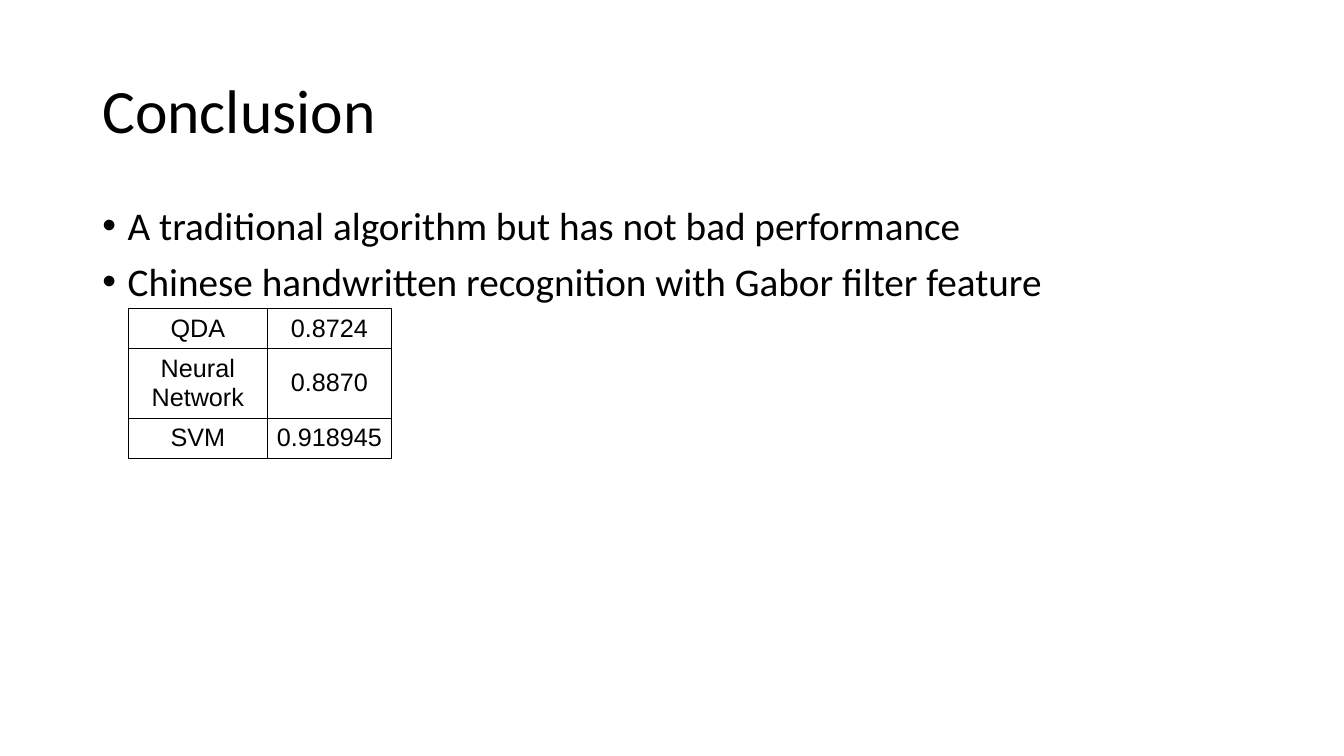
from dataclasses import dataclass

from lxml.etree import SubElement
from pptx import Presentation
from pptx.dml.color import RGBColor
from pptx.enum.text import MSO_ANCHOR, PP_ALIGN
from pptx.oxml import parse_xml
from pptx.oxml.ns import nsdecls, qn
from pptx.slide import Slide
from pptx.table import _Cell
from pptx.text.text import TextFrame, _Paragraph
from pptx.util import Cm, Pt

BLACK = RGBColor(0, 0, 0)
BORDER_WIDTH = Pt(0.6)
BULLET_INDENT = Cm(0.64)


@dataclass(frozen=True)
class Result:
    classifier: str
    accuracy: str
    height: float


RESULTS = [
    Result("QDA", "0.8724", 0.96),
    Result("Neural Network", "0.8870", 1.69),
    Result("SVM", "0.918945", 0.96),
]
FINDINGS = [
    "A traditional algorithm but has not bad performance",
    "Chinese handwritten recognition with Gabor filter feature",
]


def style_runs(paragraph: _Paragraph, font_name: str, size: int) -> None:
    for run in paragraph.runs:
        run.font.name = font_name
        run.font.size = Pt(size)
        run.font.color.rgb = BLACK


def add_text(slide: Slide, top: float, height: float, lines: list[str],
             size: int, anchor: MSO_ANCHOR) -> TextFrame:
    frame = slide.shapes.add_textbox(
        Cm(2.33), Cm(top), Cm(29.21), Cm(height)).text_frame
    frame.word_wrap = True
    frame.vertical_anchor = anchor
    frame.text = "\n".join(lines)
    for paragraph in frame.paragraphs:
        paragraph.line_spacing = 0.9
        style_runs(paragraph, "Calibri", size)
    return frame


def add_bullet(paragraph: _Paragraph) -> None:
    paragraph.space_before = Pt(10)
    properties = paragraph._p.get_or_add_pPr()
    properties.set("marL", str(BULLET_INDENT))
    properties.set("indent", str(-BULLET_INDENT))
    SubElement(properties, qn("a:buFont"), typeface="Arial")
    SubElement(properties, qn("a:buChar"), char="•")


def fill_cell(cell: _Cell, text: str) -> None:
    cell.text = text
    cell.fill.background()
    cell.vertical_anchor = MSO_ANCHOR.MIDDLE
    cell.margin_left = cell.margin_right = Cm(0.08)
    cell.margin_top = cell.margin_bottom = Cm(0.12)
    paragraph = cell.text_frame.paragraphs[0]
    paragraph.alignment = PP_ALIGN.CENTER
    style_runs(paragraph, "Arial", 18)
    # Borders come before the fill in the cell properties
    properties = cell._tc.get_or_add_tcPr()
    for position, side in enumerate(("lnL", "lnR", "lnT", "lnB")):
        properties.insert(position, parse_xml(
            f'<a:{side} {nsdecls("a")} w="{BORDER_WIDTH}"><a:solidFill>'
            f'<a:srgbClr val="{BLACK}"/></a:solidFill></a:{side}>'))


def add_results(slide: Slide, results: list[Result]) -> None:
    widths = [Cm(3.51), Cm(3.12)]
    heights = [Cm(result.height) for result in results]
    table = slide.shapes.add_table(
        len(results), len(widths), Cm(3.23), Cm(7.77),
        sum(widths), sum(heights)).table
    table.first_row = False
    table.horz_banding = False
    for column, width in zip(table.columns, widths):
        column.width = width
    for row, height, result in zip(table.rows, heights, results):
        row.height = height
        for cell, text in zip(row.cells, (result.classifier, result.accuracy)):
            fill_cell(cell, text)


presentation = Presentation()
presentation.slide_width = Cm(33.87)
presentation.slide_height = Cm(19.05)
conclusion = presentation.slides.add_slide(presentation.slide_layouts[6])

# Title
add_text(conclusion, 1.01, 3.68, ["Conclusion"], 44, MSO_ANCHOR.MIDDLE)

# Findings
findings = add_text(conclusion, 5.07, 12.09, FINDINGS, 28, MSO_ANCHOR.TOP)
for finding in findings.paragraphs:
    add_bullet(finding)

# Accuracy of each classifier
add_results(conclusion, RESULTS)

presentation.save("out.pptx")
